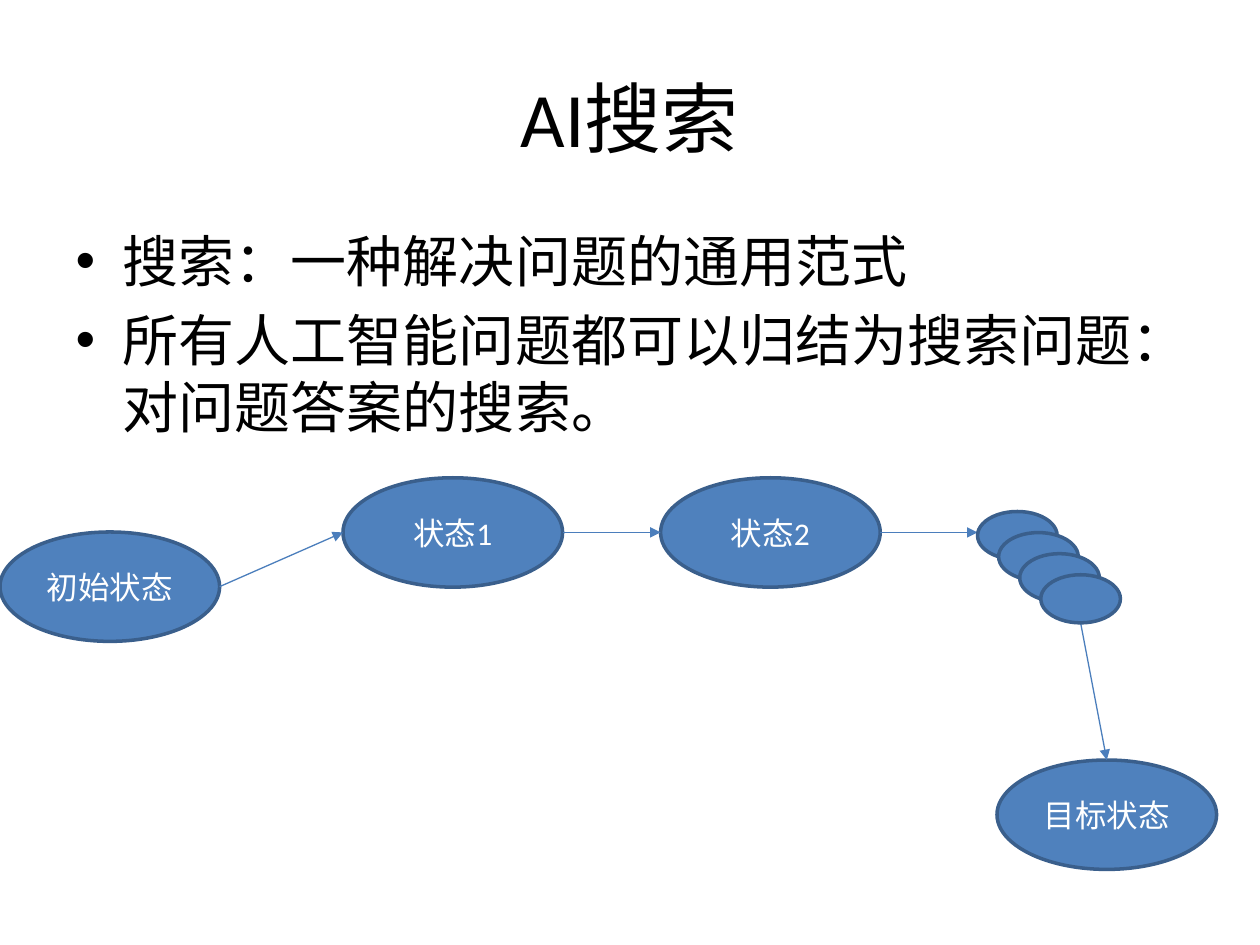
from pptx import Presentation
from pptx.util import Pt
from pptx.dml.color import RGBColor
from pptx.enum import shapes, text
from lxml import etree
from pptx.oxml import ns

# Content
TITLE = "AI搜索"
POINTS = ["搜索：一种解决问题的通用范式",
          "所有人工智能问题都可以归结为搜索问题：对问题答案的搜索。"]
STATES = [("初始状态", 0, 304), ("状态1", 196, 273),
          ("状态2", 377.5, 273), ("目标状态", 569.7, 434.3)]
HEX = {"ink": "000000", "fill": "4F81BD", "edge": "3A5F8C",
       "link": "4B7EBC", "white": "FFFFFF"}

# Sizes in points
WIDE, HIGH = 125.5, 62.5
DOT_W, DOT_H, STEP, DOTS = 45.5, 27.5, 12.05, 4
DOT_X, DOT_Y = 558.6, 292.3


def color(name):
    return RGBColor.from_string(HEX[name])


def write(frame, lines, size=18, ink="ink", align=None, anchor=None):
    frame.word_wrap = True
    frame.vertical_anchor = anchor
    for i, line in enumerate(lines):
        para = frame.add_paragraph() if i else frame.paragraphs[0]
        para.alignment = align
        run = para.add_run()
        run.text = line
        run.font.size = Pt(size)
        run.font.name = "Calibri"
        run.font.color.rgb = color(ink)


def place(shape, *box):
    shape.left, shape.top, shape.width, shape.height = map(Pt, box)


def oval(x, y, w, h):
    shape = slide.shapes.add_shape(shapes.MSO_SHAPE.OVAL, Pt(x), Pt(y), Pt(w), Pt(h))
    shape.shadow.inherit = False
    shape.fill.solid()
    shape.fill.fore_color.rgb = color("fill")
    shape.line.color.rgb = color("edge")
    shape.line.width = Pt(2)
    return shape


def arrow(start, end):
    link = slide.shapes.add_connector(shapes.MSO_CONNECTOR.STRAIGHT,
                                      *map(Pt, start + end))
    link.line.color.rgb = color("link")
    link.line.width = Pt(0.75)
    tip = etree.SubElement(link.line._get_or_add_ln(), ns.qn("a:tailEnd"))
    tip.set("type", "triangle")
    etree.SubElement(link._element.spPr, ns.qn("a:effectLst"))


deck = Presentation()
deck.slide_width, deck.slide_height = Pt(720), Pt(540)
slide = deck.slides.add_slide(deck.slide_layouts[1])

# Title and list
title, body = slide.placeholders
place(title, 36, 21.6, 648, 90)
place(body, 36, 126, 648, 356.4)
write(title.text_frame, [TITLE], size=44, align=text.PP_ALIGN.CENTER,
      anchor=text.MSO_ANCHOR.MIDDLE)
write(body.text_frame, POINTS, size=32, anchor=text.MSO_ANCHOR.TOP)

# States
for name, x, y in STATES:
    write(oval(x, y, WIDE, HIGH).text_frame, [name], ink="white",
          align=text.PP_ALIGN.CENTER, anchor=text.MSO_ANCHOR.MIDDLE)

# Arrows along the chain, then down to the goal
lefts = [(x, y + HIGH / 2) for _, x, y in STATES[:3]]
ends = lefts[1:] + [(DOT_X, lefts[2][1])]
for (x, y), end in zip(lefts, ends):
    arrow((x + WIDE, y), end)
last = (DOTS - 1) * STEP
goal_x, goal_y = STATES[3][1:]
arrow((DOT_X + last + DOT_W / 2, DOT_Y + last + DOT_H), (goal_x + WIDE / 2, goal_y))

# Stack of further states
for i in range(DOTS):
    oval(DOT_X + i * STEP, DOT_Y + i * STEP, DOT_W, DOT_H)

deck.save("out.pptx")
